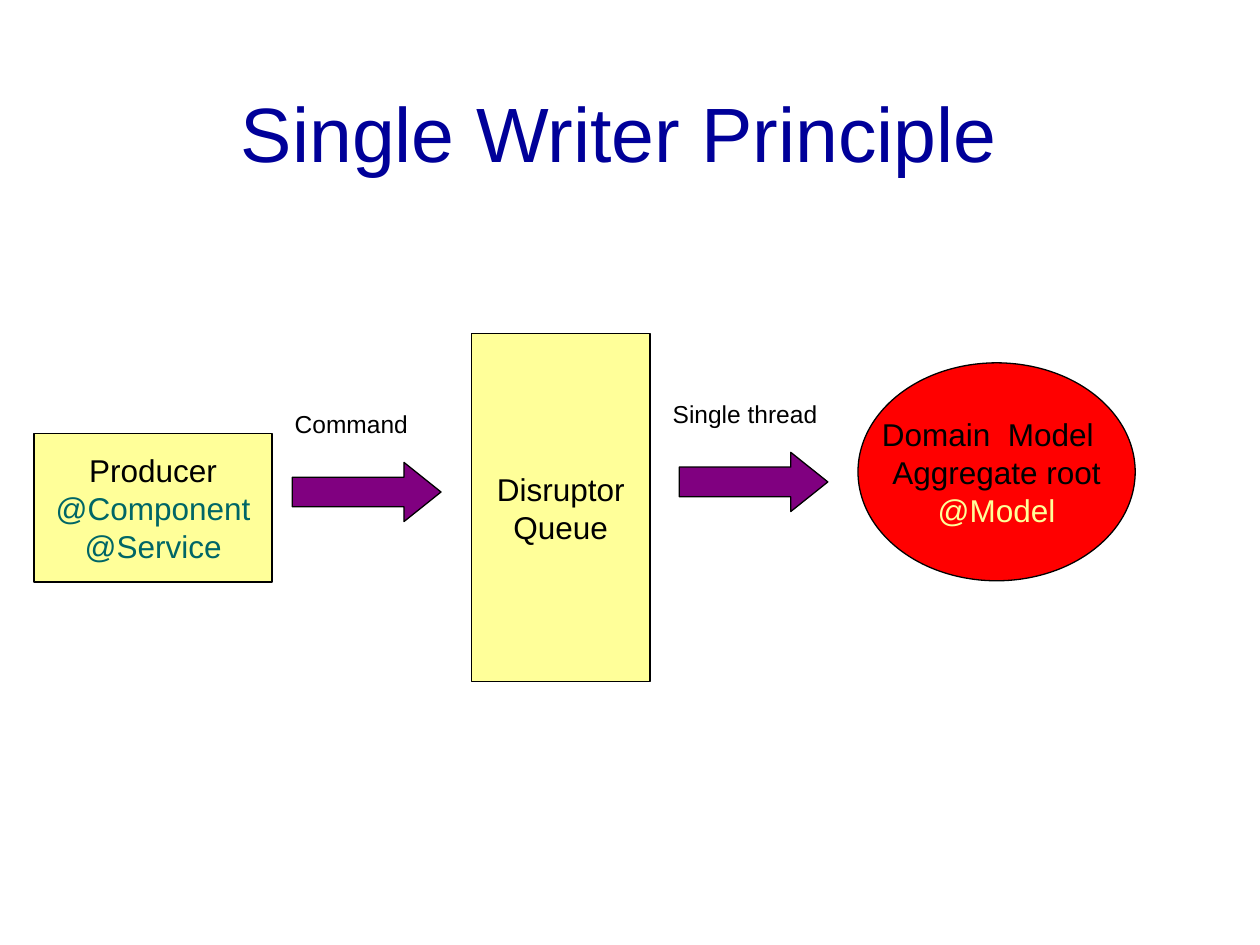
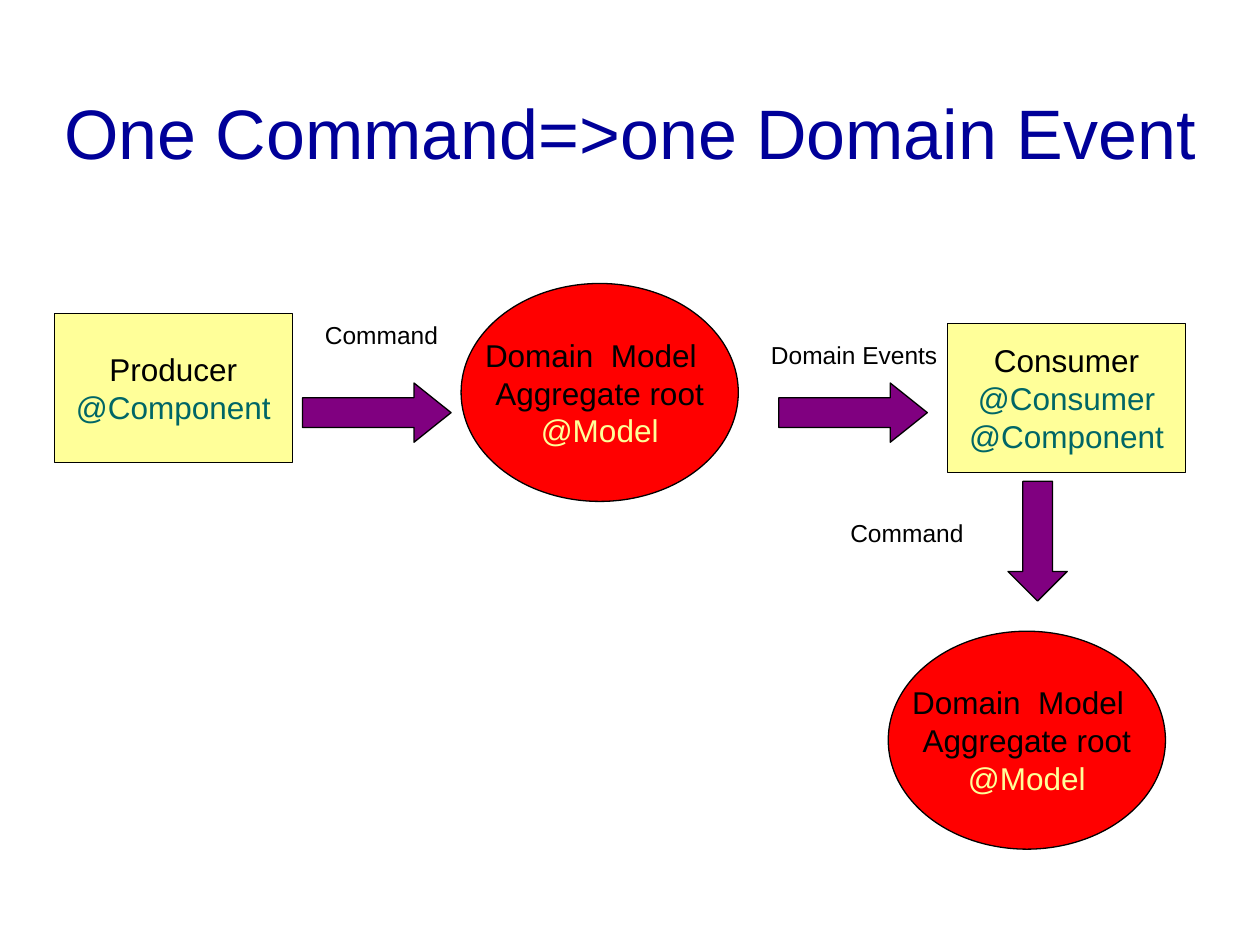
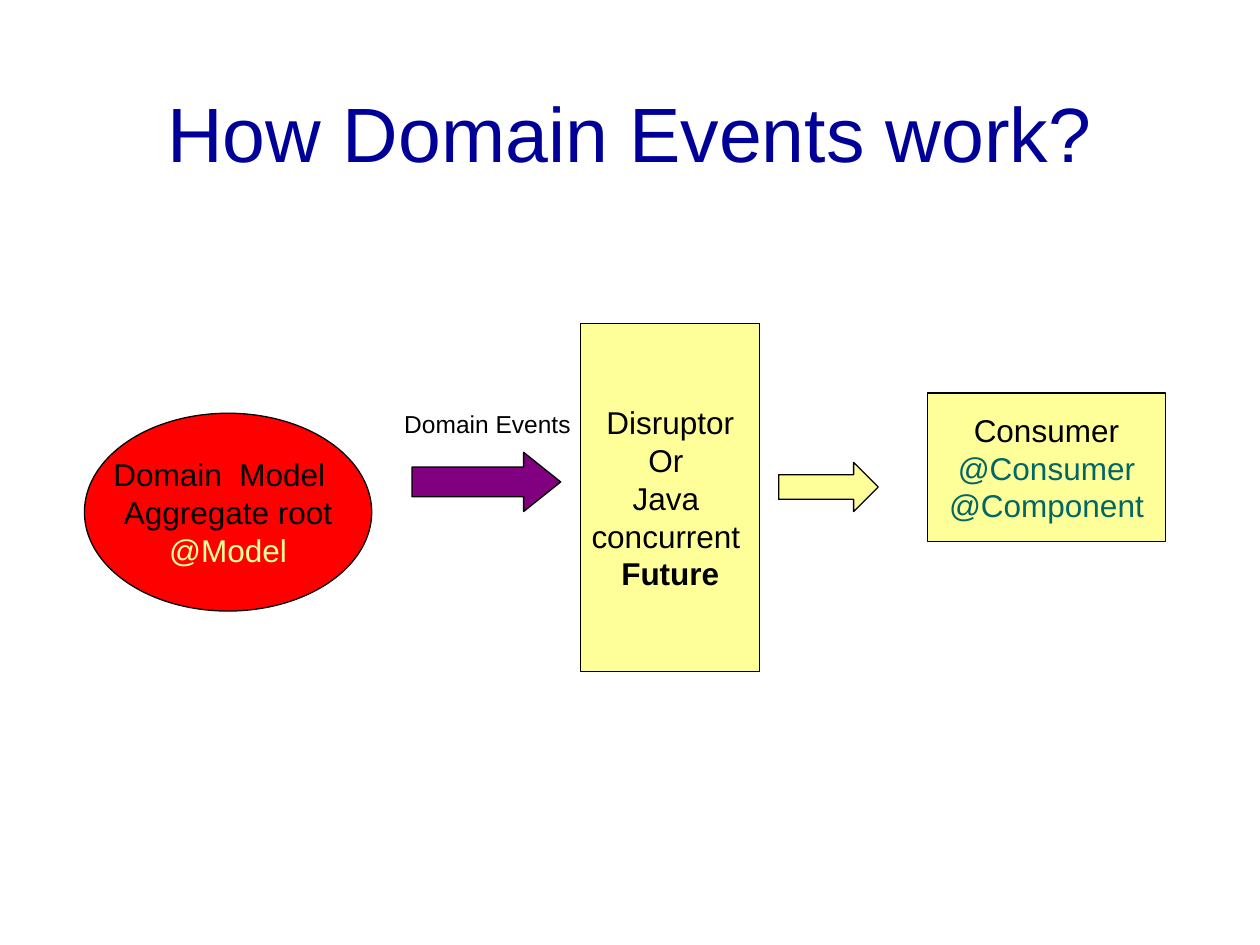
from dataclasses import dataclass
from typing import Any

from pptx import Presentation
from pptx.dml.color import RGBColor
from pptx.enum.shapes import MSO_SHAPE
from pptx.enum.text import MSO_ANCHOR, MSO_AUTO_SIZE, PP_ALIGN
from pptx.util import Inches, Pt

FONT = "Arial"
COLORS = {
    "title": "000099",
    "ink": "000000",
    "box": "FFFF99",
    "model": "FF0000",
    "arrow": "800080",
    "tag": "006666",
}


@dataclass(frozen=True)
class Kind:
    shape: MSO_SHAPE
    fill: str
    tag: str
    width: float
    height: float


@dataclass(frozen=True)
class Node:
    kind: Kind
    left: float
    top: float
    lines: tuple[str, ...]
    bold: str = ""


@dataclass(frozen=True)
class Arrow:
    left: float
    top: float
    width: float = 1.18
    height: float = 0.47
    head: float = 0.625
    turn: int = 0
    fill: str = "arrow"


@dataclass(frozen=True)
class Label:
    left: float
    top: float
    text: str
    wrap: bool = True


@dataclass(frozen=True)
class Page:
    title: str
    marks: tuple[Node | Arrow | Label, ...]
    size: int = 44


# Kinds of node and their wording
ACTOR = Kind(MSO_SHAPE.RECTANGLE, "box", "tag", 1.89, 1.18)
QUEUE = Kind(MSO_SHAPE.RECTANGLE, "box", "tag", 1.42, 2.76)
MODEL = Kind(MSO_SHAPE.OVAL, "model", "box", 2.2, 1.73)
FLAT = Kind(MSO_SHAPE.OVAL, "model", "box", 2.28, 1.57)

ROOT = ("Domain  Model  ", "Aggregate root", "@Model")
CLIENT = ("Consumer", "@Consumer", "@Component")

# Slides, each listed from back to front
PAGES = (
    Page("Single Writer Principle ", (
        Node(MODEL, 6.81, 2.88, ROOT),
        Node(QUEUE, 3.74, 2.65, ("Disruptor", "Queue")),
        Arrow(2.32, 3.67),
        Label(2.24, 3.2, "Command"),
        Arrow(5.39, 3.59),
        Label(5.24, 3.12, "Single thread"),
        Node(ACTOR, 0.27, 3.44, ("Producer", "@Component", "@Service")),
    )),
    Page("One Command=>one Domain Event", (
        Node(MODEL, 3.66, 2.25, ROOT),
        Arrow(2.4, 3.04),
        Label(2.48, 2.49, "Command"),
        Node(ACTOR, 0.43, 2.49, ("Producer", "@Component")),
        Node(ACTOR, 7.52, 2.57, CLIENT),
        Arrow(6.18, 3.04),
        Label(6.02, 2.65, "Domain Events", wrap=False),
        Arrow(7.76, 4.06, width=0.95, head=0.5, turn=90),
        Node(MODEL, 7.05, 5.01, ROOT),
        Label(6.65, 4.06, "Command"),
    ), size=40),
    Page("How Domain Events work?", (
        Node(FLAT, 0.67, 3.28, ROOT),
        Node(ACTOR, 7.36, 3.12, CLIENT),
        Node(QUEUE, 4.61, 2.57,
             ("Disruptor", "Or ", "Java ", "concurrent ", "Future"),
             bold="Future"),
        Arrow(3.27, 3.59),
        Arrow(6.18, 3.67, width=0.79, height=0.39, head=0.5, fill="box"),
        Label(3.11, 3.2, "Domain Events", wrap=False),
    )),
)


def tint(name: str) -> RGBColor:
    return RGBColor.from_string(COLORS[name])


def write(shape: Any, lines: tuple[str, ...], *, size: int = 18,
          color: str = "ink", tag: str = "ink", bold: str = "",
          align: PP_ALIGN = PP_ALIGN.CENTER,
          anchor: MSO_ANCHOR = MSO_ANCHOR.MIDDLE,
          wrap: bool = True, grow: bool = False) -> None:
    """Fill a shape with lines; those starting with @ take the tag colour."""
    frame = shape.text_frame
    frame.word_wrap = wrap
    frame.vertical_anchor = anchor
    if grow:
        frame.auto_size = MSO_AUTO_SIZE.SHAPE_TO_FIT_TEXT
    for i, line in enumerate(lines):
        para = frame.add_paragraph() if i else frame.paragraphs[0]
        para.alignment = align
        run = para.add_run()
        run.text = line
        run.font.name = FONT
        run.font.size = Pt(size)
        run.font.bold = line == bold
        run.font.color.rgb = tint(tag if line.startswith("@") else color)


def add_box(slide: Any, left: float, top: float,
            width: float, height: float) -> Any:
    return slide.shapes.add_textbox(
        Inches(left), Inches(top), Inches(width), Inches(height))


def add_form(slide: Any, shape: MSO_SHAPE, left: float, top: float,
             width: float, height: float, fill: str) -> Any:
    form = slide.shapes.add_shape(
        shape, Inches(left), Inches(top), Inches(width), Inches(height))
    form.shadow.inherit = False
    form.fill.solid()
    form.fill.fore_color.rgb = tint(fill)
    form.line.color.rgb = tint("ink")
    form.line.width = Pt(0.75)
    return form


def draw_node(slide: Any, node: Node) -> None:
    kind = node.kind
    form = add_form(slide, kind.shape, node.left, node.top,
                    kind.width, kind.height, kind.fill)
    write(form, node.lines, tag=kind.tag, bold=node.bold, wrap=False)


def draw_arrow(slide: Any, arrow: Arrow) -> None:
    form = add_form(slide, MSO_SHAPE.RIGHT_ARROW, arrow.left, arrow.top,
                    arrow.width, arrow.height, arrow.fill)
    form.adjustments[1] = arrow.head
    form.rotation = arrow.turn


def draw_label(slide: Any, label: Label) -> None:
    box = add_box(slide, label.left, label.top, 1.52, 0.34)
    write(box, (label.text,), size=14, align=PP_ALIGN.LEFT,
          anchor=MSO_ANCHOR.TOP, wrap=label.wrap, grow=True)


DRAW = {Node: draw_node, Arrow: draw_arrow, Label: draw_label}


def main() -> None:
    deck = Presentation()
    deck.slide_width, deck.slide_height = Inches(10), Inches(7.5)
    for page in PAGES:
        slide = deck.slides.add_slide(deck.slide_layouts[6])
        title = add_box(slide, 0.33, 0.42, 9.34, 1.25)
        write(title, (page.title,), size=page.size, color="title")
        for mark in page.marks:
            DRAW[type(mark)](slide, mark)
    deck.save("out.pptx")


if __name__ == "__main__":
    main()
